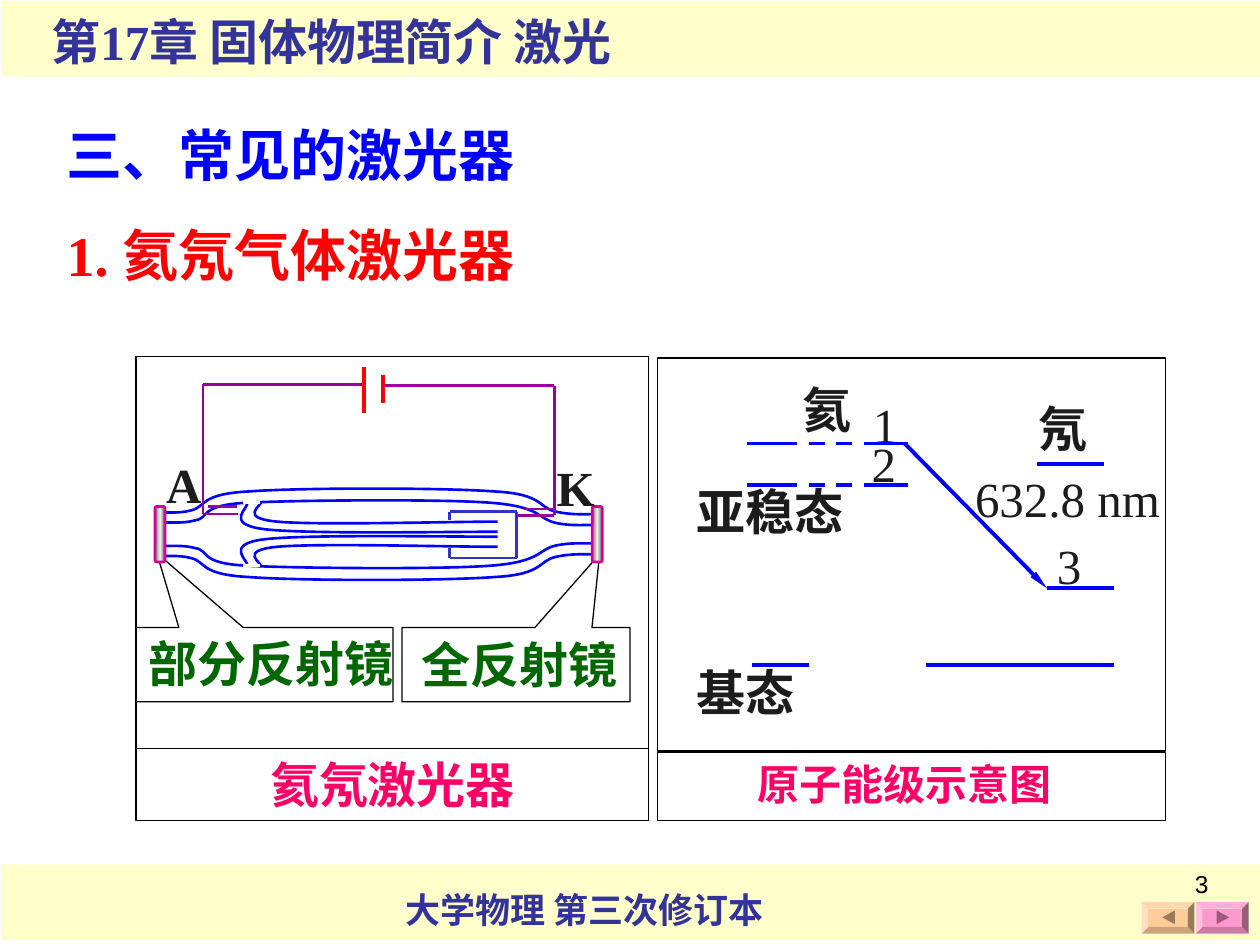
from dataclasses import dataclass

from lxml import etree
from pptx import Presentation
from pptx.dml.color import RGBColor
from pptx.enum.dml import MSO_LINE
from pptx.enum.shapes import MSO_CONNECTOR, MSO_SHAPE
from pptx.enum.text import MSO_ANCHOR, MSO_AUTO_SIZE, PP_ALIGN
from pptx.oxml.ns import qn
from pptx.util import Inches, Pt

RECT, CALLOUT, ROUNDED = MSO_SHAPE.RECTANGLE, MSO_SHAPE.RECTANGULAR_CALLOUT, MSO_SHAPE.ROUNDED_RECTANGLE
BEVEL, TRIANGLE = MSO_SHAPE.BEVEL, MSO_SHAPE.ISOSCELES_TRIANGLE
STRAIGHT, DASH = MSO_CONNECTOR.STRAIGHT, MSO_LINE.DASH
LEFT, CENTER, RIGHT = PP_ALIGN.LEFT, PP_ALIGN.CENTER, PP_ALIGN.RIGHT
TOP, NO_FIT = MSO_ANCHOR.TOP, MSO_AUTO_SIZE.NONE


@dataclass(frozen=True)
class Theme:
    serif: str = "Times New Roman"
    sans: str = "Arial"
    band: str = "FFFFCC"
    navy: str = "333399"
    blue: str = "0000FF"
    red: str = "FF0000"
    pink: str = "FF0066"
    green: str = "006600"
    ink: str = "1C1C1C"
    black: str = "000000"
    white: str = "FFFFFF"
    wire: str = "990099"
    cathode: str = "3333CC"
    mirror: str = "D60093"
    heading: int = 32
    body: int = 28
    caption: int = 24
    footer: int = 20
    page: int = 14
    hair: float = 0.75
    thin: float = 1.5
    thick: float = 2.25


T = Theme()
WIDTH, HEIGHT = 10, 7.5
BAND_HEIGHT, LABEL_HEIGHT = 0.6, 0.57
BAND_TOPS = (6.86, 0.01)
BUTTONS = [(9.49, "FF99CC", "995C7A", 90), (9.06, "FFCC99", "997A5C", -90)]

LEVEL_FRAME, LEVEL_CAPTION = (5.22, 2.84, 4.03, 3.12), (5.22, 5.97, 4.03, 0.54)
LEVEL_LABELS = [
    ("基态", 5.43, 5.21, 2.13, True), ("亚稳态", 5.43, 3.77, 2.05, True),
    ("氦", 6.27, 2.96, 0.92, True), ("氖", 8.14, 3.11, 1.52, True),
    ("2", 6.82, 3.39, 0.69, False), ("3", 8.29, 4.2, 1.07, False),
    ("1", 6.83, 3.08, 0.54, False),
]
HELIUM_LEVELS = (3.52, 3.85)
HELIUM_PARTS = [(6.31, 5.93, None), (6.98, 6.31, DASH), (6.98, 7.21, None)]
OTHER_LEVELS = [(6.42, 5.97, 5.28), (7.35, 8.84, 5.28), (8.23, 8.76, 3.68), (8.31, 8.84, 4.67)]
TRANSITION = (7.18, 3.52, 8.31, 4.67)

LASER_FRAME, LASER_CAPTION = (1.08, 2.83, 4.07, 3.11), (1.08, 5.94, 4.07, 0.57)
CALLOUTS = [
    ("全反射镜", (3.19, 4.98, 1.81, 0.59), (0.367, -1.487), (3.25, 4.99, 2.58)),
    ("部分反射镜", (1.08, 4.98, 2.04, 0.59), (-0.419, -1.5), (1.08, 4.98, 2.88)),
]
TUBE_AXIS = 4.24
TUBE_WALLS = [
    [(1.27, 4.07), (1.31, 4.06), (1.41, 4.08), (1.52, 4.05), (1.64, 4.02), (1.58, 3.92), (1.98, 3.9),
     (2.38, 3.87), (3.52, 3.87), (3.92, 3.9), (4.32, 3.92), (4.27, 4.03), (4.41, 4.06),
     (4.54, 4.09), (4.66, 4.08), (4.73, 4.08)],
    [(1.28, 4.15), (1.33, 4.14), (1.44, 4.16), (1.55, 4.13), (1.67, 4.11), (1.57, 4.01), (1.96, 3.99),
     (2.35, 3.97), (3.49, 3.96), (3.89, 3.99), (4.3, 4.02), (4.27, 4.12), (4.41, 4.15),
     (4.55, 4.18), (4.66, 4.16), (4.72, 4.17)],
    [(2.07, 3.98), (2.09, 4.01), (1.88, 4.11), (2.2, 4.14), (2.51, 4.17), (3.58, 4.14), (3.95, 4.14)],
    [(1.96, 3.99), (1.99, 4.02), (1.76, 4.16), (2.1, 4.2), (2.43, 4.24), (3.56, 4.22), (3.95, 4.22)],
]
TUBE_ENDS = [(1.96, 2.06, T.blue), (1.93, 2.06, T.white)]
TUBE_END_TOP = 3.99
MIRROR_LEFTS = (4.7, 1.23)
CATHODE = [(3.57, 4.06, 3.57, 4.13), (3.57, 4.06, 4.1, 4.06), (3.57, 4.43, 3.57, 4.35),
           (3.57, 4.43, 4.1, 4.43), (4.1, 4.06, 4.1, 4.43)]
WIRES = [(1.61, 3.05, 1.61, 4.08), (1.61, 4.08, 1.89, 4.08), (1.61, 3.05, 2.89, 3.05),
         (4.4, 3.06, 4.4, 4.09), (4.4, 4.09, 4.11, 4.09), (4.4, 3.06, 3.04, 3.06),
         (1.65, 4.02, 1.88, 4.02), (4.16, 4.04, 4.39, 4.04)]
BATTERY = [(2.89, 2.91, 2.89, 3.28), (3.04, 2.98, 3.04, 3.2)]
ELECTRODES = [("A", 1.22, 3.56, 1.15), ("K", 4.32, 3.58, 0.91)]


def rgb(color):
    return RGBColor.from_string(color)


def set_text(holder, words, size=T.body, color=T.ink, bold=True, font=T.serif, align=LEFT, wrap=True):
    frame = holder.text_frame
    frame.word_wrap, frame.auto_size, frame.vertical_anchor = wrap, NO_FIT, TOP
    paragraph = frame.paragraphs[0]
    paragraph.text, paragraph.alignment = words, align
    style = paragraph.runs[0].font
    style.name, style.size, style.bold = font, Pt(size), bold
    style.color.rgb = rgb(color)


def add_text(parent, words, box, **style):
    set_text(parent.add_textbox(*map(Inches, box)), words, **style)


def paint(shape, fill, line, weight):
    shape.shadow.inherit = False
    if fill:
        shape.fill.solid()
        shape.fill.fore_color.rgb = rgb(fill)
    else:
        shape.fill.background()
    if line:
        shape.line.color.rgb, shape.line.width = rgb(line), Pt(weight)
    else:
        shape.line.fill.background()


def add_box(parent, kind, box, fill=None, line=None, weight=T.hair):
    shape = parent.add_shape(kind, *map(Inches, box))
    paint(shape, fill, line, weight)
    return shape


def add_line(parent, ends, color=T.blue, weight=T.thick, dash=None, arrow=False):
    connector = parent.add_connector(STRAIGHT, *map(Inches, ends))
    connector.line.color.rgb, connector.line.width = rgb(color), Pt(weight)
    if dash:
        connector.line.dash_style = dash
    properties = connector._element.spPr
    if arrow:
        etree.SubElement(properties.find(qn("a:ln")), qn("a:tailEnd"), type="triangle", w="sm", len="lg")
    etree.SubElement(properties, qn("a:effectLst"))


def add_curve(parent, controls):
    points = [(Inches(x), Inches(y)) for x, y in controls]
    builder = parent.build_freeform(*points[0], scale=1.0)
    builder.add_line_segments(points[1:], close=False)
    curve = builder.convert_to_shape()
    paint(curve, None, T.blue, T.thin)
    segments = list(curve._element.iter(qn("a:lnTo")))
    outline = segments[0].getparent()
    for start in range(0, len(segments), 3):
        bend = etree.SubElement(outline, qn("a:cubicBezTo"))
        for segment in segments[start:start + 3]:
            bend.append(segment[0])
            outline.remove(segment)


def add_mirror(parent, left):
    mirror = add_box(parent, ROUNDED, (left, 4.02, 0.08, 0.44), T.white, T.mirror, T.thin)
    mirror.fill.gradient()
    mirror.fill.gradient_angle = 0
    stops = mirror.fill._fill._gradFill.find(qn("a:gsLst"))
    for stop in list(stops):
        stops.remove(stop)
    for position, shade in ((0, "6D6D6D"), (50, "EEEEEE"), (100, "6D6D6D")):
        stop = etree.SubElement(stops, qn("a:gs"), pos=str(position * 1000))
        etree.SubElement(stop, qn("a:srgbClr"), val=shade)


def draw_levels(group):
    add_box(group, RECT, LEVEL_CAPTION, line=T.black)
    add_box(group, RECT, LEVEL_FRAME, T.white, T.black)
    add_text(group, "原子能级示意图", (4.92, 5.97, 4.52, 0.5), size=T.caption, color=T.pink, align=CENTER)
    for words, left, top, width, bold in LEVEL_LABELS:
        add_text(group, words, (left, top, width, LABEL_HEIGHT), bold=bold)
    add_text(group, "632.8 nm", (7.64, 3.67, 1.66, LABEL_HEIGHT), bold=False, wrap=False)
    for y in HELIUM_LEVELS:
        for start, end, dash in HELIUM_PARTS:
            add_line(group, (start, y, end, y), dash=dash)
    for start, end, y in OTHER_LEVELS:
        add_line(group, (start, y, end, y))
    add_line(group, TRANSITION, arrow=True)


def draw_laser(group):
    add_box(group, RECT, LASER_FRAME, T.white, T.black)
    set_text(add_box(group, RECT, LASER_CAPTION, line=T.black), "氦氖激光器", color=T.pink, align=CENTER)
    for words, box, tip, label in CALLOUTS:
        callout = add_box(group, CALLOUT, box, line=T.black)
        callout.adjustments[0], callout.adjustments[1] = tip
    for side in (1, -1):
        for wall in TUBE_WALLS:
            add_curve(group, [(x, TUBE_AXIS + side * (TUBE_AXIS - y)) for x, y in wall])
        y = TUBE_AXIS + side * (TUBE_AXIS - TUBE_END_TOP)
        for start, end, color in TUBE_ENDS:
            add_line(group, (start, y, end, y), color, T.thin)
    for left in MIRROR_LEFTS:
        add_mirror(group, left)
    for lines, color, weight in ((CATHODE, T.cathode, T.thin), (WIRES, T.wire, T.thin), (BATTERY, T.red, T.thick)):
        for ends in lines:
            add_line(group, ends, color, weight)
    for words, box, tip, label in CALLOUTS:
        add_text(group, words, (*label, LABEL_HEIGHT), color=T.green)
    for words, left, top, width in ELECTRODES:
        add_text(group, words, (left, top, width, LABEL_HEIGHT))


def main():
    deck = Presentation()
    deck.slide_width, deck.slide_height = Inches(WIDTH), Inches(HEIGHT)
    slide = deck.slides.add_slide(deck.slide_layouts[5])
    shapes, title = slide.shapes, slide.shapes.title
    for top in BAND_TOPS:
        add_box(shapes, RECT, (0.01, top, WIDTH - 0.01, BAND_HEIGHT), T.band)
    add_text(shapes, "大学物理 第三次修订本", (3.12, 7, 3.12, 0.44), size=T.footer, color=T.navy, wrap=False)
    add_text(shapes, "第17章 固体物理简介 激光", (0.31, 0.04, 5.04, LABEL_HEIGHT), color=T.navy, wrap=False)
    for left, fill, shade, turn in BUTTONS:
        add_box(shapes, BEVEL, (left, 7.16, 0.42, 0.25), fill).adjustments[0] = 0.21
        add_box(shapes, TRIANGLE, (left + 0.16, 7.23, 0.11, 0.1), shade).rotation = turn
    title.left, title.top, title.width, title.height = map(Inches, (0.43, 0.91, 5.1, 0.64))
    set_text(title, "三、常见的激光器", size=T.heading, color=T.blue)
    add_text(shapes, "1. 氦氖气体激光器", (0.43, 1.7, 5.52, 0.64), size=T.heading, color=T.red)
    draw_levels(shapes.add_group_shape().shapes)
    draw_laser(shapes.add_group_shape().shapes)
    add_text(shapes, "3", (7.36, 6.85, 2.33, 0.52), size=T.page, color=T.black, bold=False, font=T.sans, align=RIGHT)
    deck.save("out.pptx")


if __name__ == "__main__":
    main()
